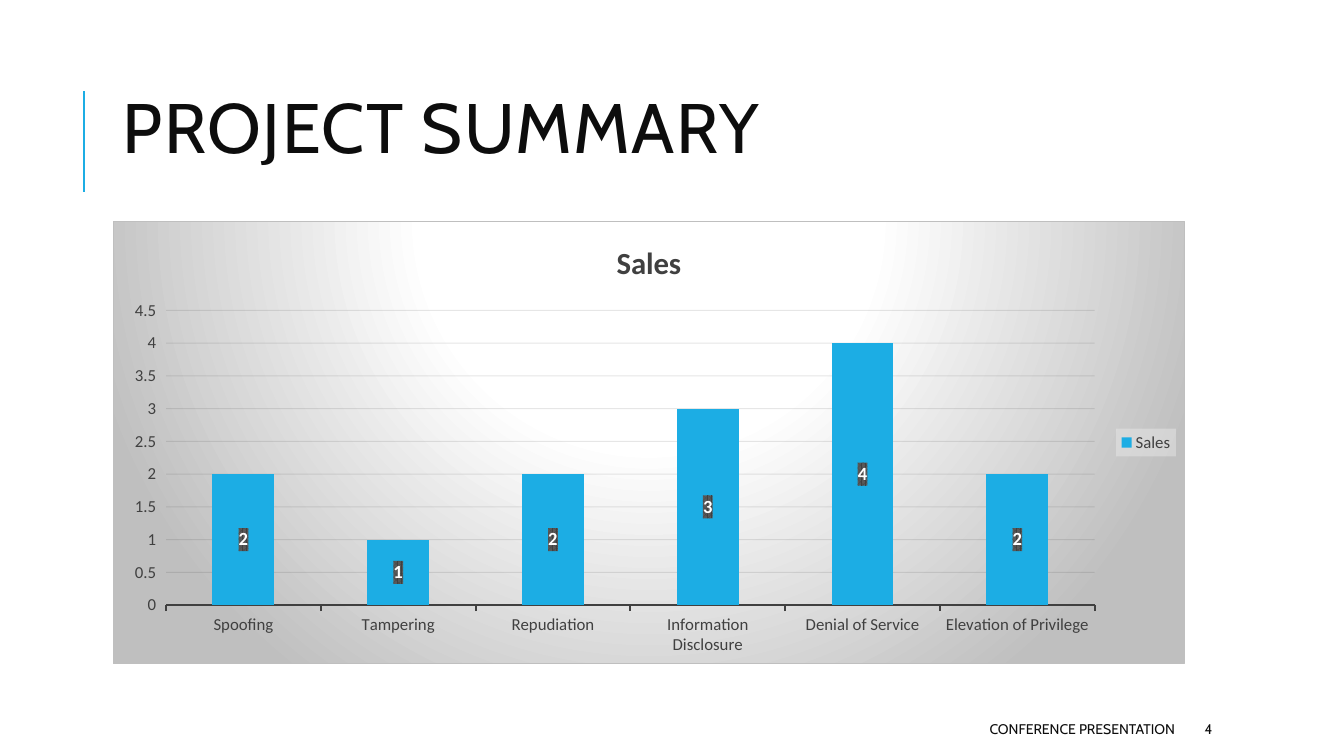
from lxml import etree
from pptx import Presentation
from pptx.chart.data import CategoryChartData
from pptx.dml.color import RGBColor
from pptx.enum.chart import XL_CHART_TYPE, XL_LABEL_POSITION, XL_LEGEND_POSITION, XL_TICK_MARK
from pptx.enum.shapes import MSO_CONNECTOR
from pptx.enum.text import MSO_ANCHOR, PP_ALIGN
from pptx.oxml import parse_xml
from pptx.oxml.ns import qn
from pptx.util import Inches, Pt

ACCENT, INK, GRAY, EDGE, WHITE = "1CADE4", "0D0D0D", "404040", "BFBFBF", "FFFFFF"
NAMESPACES = (
    'xmlns:c="http://schemas.openxmlformats.org/drawingml/2006/chart" '
    'xmlns:a="http://schemas.openxmlformats.org/drawingml/2006/main"'
)
THREATS = {
    "Spoofing": 2,
    "Tampering": 1,
    "Repudiation": 2,
    "Information Disclosure": 3,
    "Denial of Service": 4,
    "Elevation of Privilege": 2,
}


def color(value):
    """Turn a hex string into a colour."""
    return RGBColor.from_string(value)


def style_font(font, size, value, name="Calibri", bold=False):
    """Set the face, size, weight and colour of a font."""
    font.name, font.size, font.bold = name, Pt(size), bold
    font.color.rgb = color(value)


def style_line(line, value, width):
    """Set the colour and width of a line."""
    line.color.rgb = color(value)
    line.width = Pt(width)


def hex_fill(value, alpha=100):
    """Return the XML of a colour with an opacity in percent."""
    return f'<a:srgbClr val="{value}"><a:alpha val="{alpha * 1000}"/></a:srgbClr>'


def chart_format(content):
    """Return a chart shape-properties element around the given XML."""
    return parse_xml(f"<c:spPr {NAMESPACES}>{content}</c:spPr>")


def add_text(page, box, text, size, align=PP_ALIGN.LEFT, line_spacing=None, tracking=0):
    """Add one line of vertically centred text in a box."""
    frame = page.shapes.add_textbox(*map(Inches, box)).text_frame
    frame.word_wrap = True
    frame.vertical_anchor = MSO_ANCHOR.MIDDLE
    para = frame.paragraphs[0]
    para.alignment, para.line_spacing = align, line_spacing
    span = para.add_run()
    span.text = text
    style_font(span.font, size, INK, "Cabin")
    if tracking:
        span.font._element.set("spc", str(tracking * 100))


def add_heading(page, box):
    """Add the title with the accent rule to its left."""
    left, top, width, height = box
    rule_left, rule_top = left - 0.29, top + 0.28
    rule = page.shapes.add_connector(
        MSO_CONNECTOR.STRAIGHT,
        *map(Inches, (rule_left, rule_top + 1, rule_left, rule_top)),
    )
    style_line(rule.line, ACCENT, 1.5)
    etree.SubElement(rule._element.spPr, qn("a:effectLst"))
    add_text(page, box, "PROJECT SUMMARY", 50, line_spacing=0.8, tracking=1)


def style_axes(chart):
    """Format both axes and the gridlines."""
    category, value = chart.category_axis, chart.value_axis
    for axis in (category, value):
        axis.major_tick_mark = XL_TICK_MARK.OUTSIDE
        axis.minor_tick_mark = XL_TICK_MARK.NONE
        style_font(axis.tick_labels.font, 12, GRAY)
    style_line(category.format.line, GRAY, 1.5)
    value.format.line.fill.background()
    value.minimum_scale, value.maximum_scale, value.major_unit = 0, 4.5, 0.5
    grid = value.major_gridlines.format.line
    style_line(grid, INK, 0.75)
    grid_color = next(value.major_gridlines._xAx.iter(qn("c:majorGridlines")))
    for shade in grid_color.iter(qn("a:srgbClr")):
        etree.SubElement(shade, qn("a:alpha"), val="10000")


def style_background(chart):
    """Give the chart area its radial gradient and border."""
    stops = "".join(
        f'<a:gs pos="{place * 1000}">{hex_fill(value)}</a:gs>'
        for place, value in ((0, WHITE), (39, WHITE), (100, EDGE))
    )
    gradient = (
        f'<a:gradFill><a:gsLst>{stops}</a:gsLst><a:path path="circle">'
        '<a:fillToRect l="50000" t="-80000" r="50000" b="180000"/></a:path></a:gradFill>'
    )
    border = f'<a:ln w="9525"><a:solidFill>{hex_fill(EDGE)}</a:solidFill></a:ln>'
    chart._chartSpace.find(qn("c:chart")).addnext(chart_format(gradient + border))


def style_labels(plot):
    """Show white values on dark patterned tags inside the columns."""
    plot.has_data_labels = True
    labels = plot.data_labels
    labels.show_value = True
    labels.position = XL_LABEL_POSITION.CENTER
    style_font(labels.font, 13.3, WHITE, bold=True)
    pattern = (
        f'<a:pattFill prst="pct75"><a:fgClr>{hex_fill(GRAY)}</a:fgClr>'
        f'<a:bgClr>{hex_fill("595959")}</a:bgClr></a:pattFill>'
    )
    labels._element.find(qn("c:txPr")).addprevious(chart_format(pattern))


def style_legend(chart):
    """Place the legend at the right on a translucent panel."""
    chart.has_legend = True
    legend = chart.legend
    legend.position = XL_LEGEND_POSITION.RIGHT
    legend.include_in_layout = False
    style_font(legend.font, 12, GRAY)
    panel = f'<a:solidFill>{hex_fill("F2F2F2", 39)}</a:solidFill>'
    legend._element.find(qn("c:txPr")).addprevious(chart_format(panel))


def add_threat_chart(page, box):
    """Add the column chart of threats by category."""
    data = CategoryChartData()
    data.categories = list(THREATS)
    data.add_series("Sales", list(THREATS.values()))
    chart = page.shapes.add_chart(
        XL_CHART_TYPE.COLUMN_CLUSTERED, *map(Inches, box), data
    ).chart
    style_font(chart.font, 10, "000000")
    chart.has_title = True
    title = chart.chart_title
    title.include_in_layout = False
    title.text_frame.text = "Sales"
    style_font(title.text_frame.paragraphs[0].runs[0].font, 22, GRAY, bold=True)
    plot = chart.plots[0]
    plot.gap_width, plot.vary_by_categories = 150, False
    fill = plot.series[0].format.fill
    fill.solid()
    fill.fore_color.rgb = color(ACCENT)
    style_axes(chart)
    style_labels(plot)
    style_legend(chart)
    style_background(chart)


def add_footer(page, box):
    """Add the footer text and the page number after it."""
    left, top, width, height = box
    add_text(page, box, "CONFERENCE PRESENTATION", 10, align=PP_ALIGN.RIGHT)
    add_text(page, (left + width + 0.1, top, 1.06, height), "4", 10)


def main():
    """Build the slide and save it."""
    deck = Presentation()
    deck.slide_width, deck.slide_height = Inches(13.33), Inches(7.5)
    page = deck.slides.add_slide(deck.slide_layouts[6])
    add_heading(page, (1.12, 0.62, 10.63, 1.41))
    add_threat_chart(page, (1.12, 2.19, 10.63, 4.4))
    add_footer(page, (5.3, 7.08, 6.45, 0.3))
    deck.save("out.pptx")


if __name__ == "__main__":
    main()
